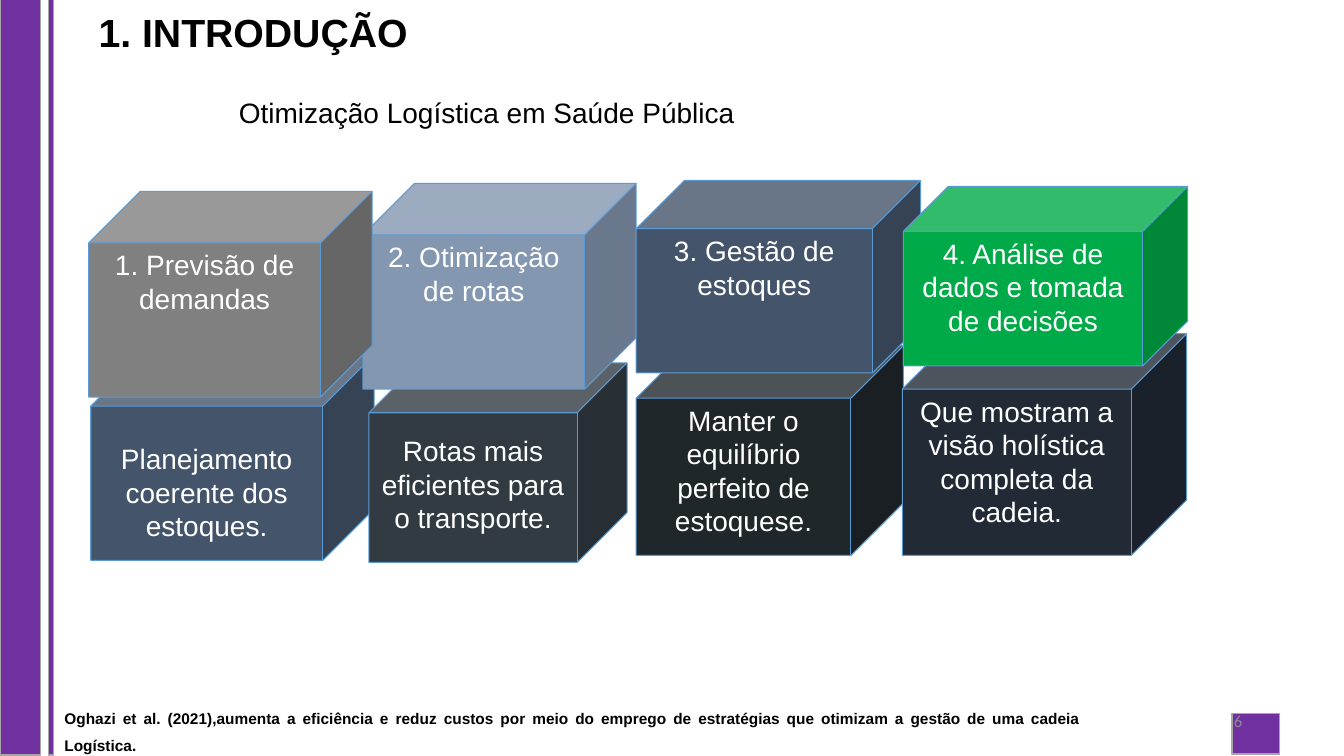
from pptx import Presentation
from pptx.dml.color import RGBColor
from pptx.enum import shapes, text
from pptx.util import Inches, Pt

COLORS = {
    "purple": "7030A0", "border": "A6A6A6", "edge": "5B9BD5",
    "black": "000000", "white": "FFFFFF", "page": "8C8C8C",
    "slate": "44546A", "charcoal": "313B41", "mist": "8497B0",
    "ink": "20272B", "navy": "222A35", "gray": "808080", "green": "00AA48",
}
BARS = [(0, -0.01, 0.4, 7.5), (12.22, 7.08, 0.47, 0.4), (0.48, -0.01, 0.05, 7.5)]
# Label, box, colour and, where the text is shifted, its insets, back to front
CUBES = [
    ("Planejamento coerente dos estoques.", (0.9, 3.52, 2.81, 2.04), "slate",
     {"top": 0.35}),
    ("Rotas mais eficientes para o transporte.", (3.66, 3.6, 2.56, 1.98), "charcoal",
     {"bottom": 0.28, "anchor": text.MSO_ANCHOR.BOTTOM}),
    ("2. Otimização de rotas", (3.6, 1.82, 2.71, 2.04), "mist", {}),
    ("Manter o equilíbrio perfeito de estoquese.", (6.31, 3.43, 2.65, 2.08), "ink", {}),
    ("Que mostram a visão holística completa da cadeia.", (8.95, 3.31, 2.82, 2.2),
     "navy", {}),
    ("1. Previsão de demandas", (0.88, 1.9, 2.81, 2.04), "gray", {}),
    ("3. Gestão de estoques", (6.31, 1.79, 2.82, 1.91), "slate", {}),
    ("4. Análise de dados e tomada de decisões", (8.96, 1.85, 2.82, 1.78), "green", {}),
]


def rgb(name):
    return RGBColor.from_string(COLORS[name])


def add_filled(slide, kind, box, fill, line, line_width):
    shape = slide.shapes.add_shape(kind, *map(Inches, box))
    shape.shadow.inherit = False
    shape.fill.solid()
    shape.fill.fore_color.rgb = rgb(fill)
    shape.line.color.rgb = rgb(line)
    shape.line.width = Pt(line_width)
    return shape


def write(shape, words, size, color, align=text.PP_ALIGN.LEFT, bold=False,
          font="Arial", spacing=1.0, anchor=text.MSO_ANCHOR.TOP, top=0.05, bottom=0.05):
    frame = shape.text_frame
    frame.text = words
    frame.word_wrap = True
    frame.vertical_anchor = anchor
    frame.margin_left = frame.margin_right = Inches(0.1)
    frame.margin_top, frame.margin_bottom = Inches(top), Inches(bottom)
    paragraph = frame.paragraphs[0]
    paragraph.alignment = align
    paragraph.line_spacing = spacing
    run_font = paragraph.runs[0].font
    run_font.name, run_font.size, run_font.bold = font, Pt(size), bold
    run_font.color.rgb = rgb(color)


def add_text(slide, box, words, size, color="black", **style):
    write(slide.shapes.add_textbox(*map(Inches, box)), words, size, color, **style)


def add_cube(slide, label, box, fill, placement):
    cube = add_filled(slide, shapes.MSO_SHAPE.CUBE, box, fill, "edge", 0.75)
    cube.adjustments[0] = 0.25
    write(cube, label, 20, "white", align=text.PP_ALIGN.CENTER, **placement)


def main():
    presentation = Presentation()
    presentation.slide_width = Inches(13.33)
    presentation.slide_height = Inches(7.5)
    slide = presentation.slides.add_slide(presentation.slide_layouts[6])

    for box in BARS:
        add_filled(slide, shapes.MSO_SHAPE.RECTANGLE, box, "purple", "border", 1)
    add_text(slide, (2.27, 0.94, 9.62, 0.83), "Otimização Logística em Saúde Pública",
             20, spacing=0.9)
    add_text(slide, (9.42, 6.95, 3, 0.4), "6", 12, "page", font="Calibri",
             align=text.PP_ALIGN.RIGHT, anchor=text.MSO_ANCHOR.MIDDLE)
    add_text(slide, (0.88, 0.09, 6.85, 0.83), "1. INTRODUÇÃO", 28, bold=True, spacing=0.9)
    for cube in CUBES:
        add_cube(slide, *cube)
    add_text(slide, (0.54, 6.89, 10.28, 0.62),
             "Oghazi et al. (2021),aumenta a eficiência e reduz custos por meio do emprego "
             "de estratégias que otimizam a gestão de uma cadeia Logística.",
             11, bold=True, align=text.PP_ALIGN.JUSTIFY, spacing=1.5)

    presentation.save("out.pptx")


if __name__ == "__main__":
    main()
